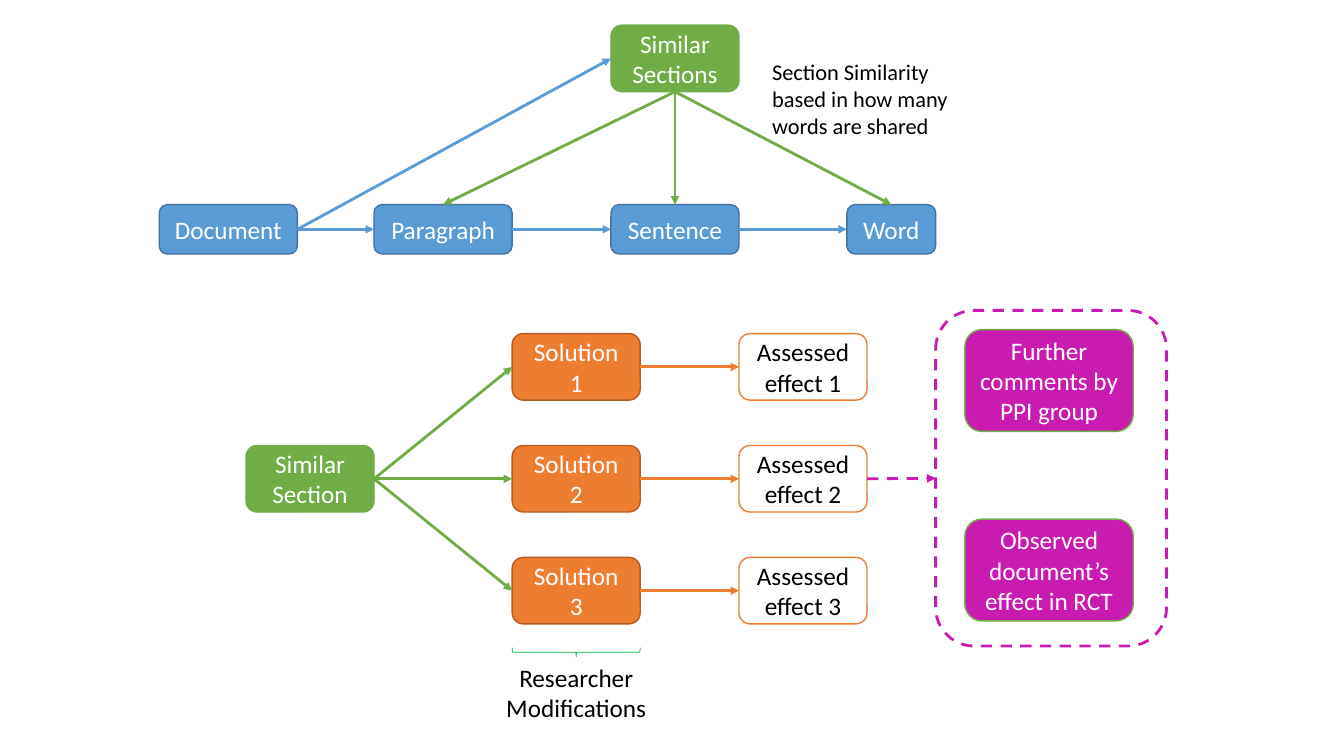
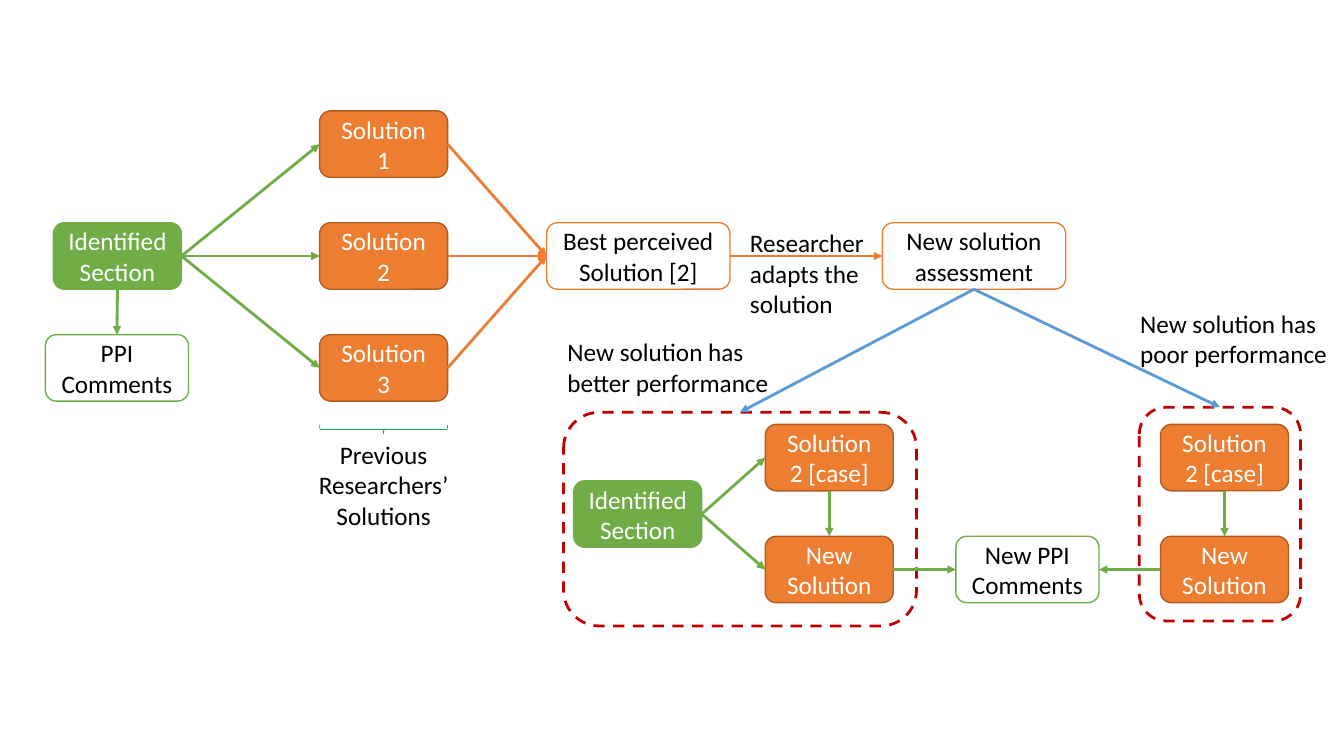
from lxml.etree import SubElement
from pptx import Presentation
from pptx.dml.color import RGBColor
from pptx.enum.dml import MSO_LINE_DASH_STYLE as Dash
from pptx.enum.shapes import MSO_CONNECTOR, MSO_SHAPE
from pptx.enum.text import MSO_ANCHOR, PP_ALIGN
from pptx.oxml.ns import qn
from pptx.util import Inches, Pt

WHITE = RGBColor(0xFF, 0xFF, 0xFF)
BLACK = RGBColor(0x00, 0x00, 0x00)
BLUE = RGBColor(0x5B, 0x9B, 0xD5)
DARK_BLUE = RGBColor(0x43, 0x73, 0x9E)
GREEN = RGBColor(0x70, 0xAD, 0x47)
BRACE_GREEN = RGBColor(0x00, 0xB0, 0x50)
ORANGE = RGBColor(0xED, 0x7D, 0x31)
DARK_ORANGE = RGBColor(0xAF, 0x5C, 0x24)
MAGENTA = RGBColor(0xC9, 0x1B, 0xB0)
RED = RGBColor(0xC0, 0x00, 0x00)

LEVEL = (BLUE, DARK_BLUE, WHITE)
SECTION = (GREEN, GREEN, WHITE)
SOLUTION = (ORANGE, DARK_ORANGE, WHITE)
EFFECT = (WHITE, ORANGE, BLACK)
COMMENT = (WHITE, GREEN, BLACK)
OUTCOME = (MAGENTA, GREEN, WHITE)

FONT = "Calibri"
BOX_W, BOX_H = 1.27, 0.66
ROW_PITCH = 1.11
TOP, LEFT, BOTTOM, RIGHT = range(4)


def style_paragraph(paragraph, size, color, align):
    paragraph.alignment = align
    paragraph.font.name = FONT
    paragraph.font.size = Pt(size)
    paragraph.font.color.rgb = color


def add_outline(slide, preset, left, top, width, height, color, weight):
    shape = slide.shapes.add_shape(
        preset, Inches(left), Inches(top), Inches(width), Inches(height))
    shape.shadow.inherit = False
    shape.fill.background()
    shape.line.color.rgb = color
    shape.line.width = Pt(weight)
    return shape


def add_box(slide, text, left, top, style, width=BOX_W, height=BOX_H):
    fill, border, ink = style
    box = add_outline(slide, MSO_SHAPE.ROUNDED_RECTANGLE,
                      left, top, width, height, border, 1)
    box.fill.solid()
    box.fill.fore_color.rgb = fill
    frame = box.text_frame
    frame.word_wrap = True
    frame.vertical_anchor = MSO_ANCHOR.MIDDLE
    frame.text = text
    style_paragraph(frame.paragraphs[0], 18, ink, PP_ALIGN.CENTER)
    return box


def add_group_frame(slide, left, top, width, height, color):
    group_frame = add_outline(slide, MSO_SHAPE.ROUNDED_RECTANGLE,
                              left, top, width, height, color, 2)
    group_frame.line.dash_style = Dash.DASH
    return group_frame


def add_arrow(slide, source, source_side, target, target_side, color, dashed=False):
    arrow = slide.shapes.add_connector(MSO_CONNECTOR.STRAIGHT, 0, 0, 0, 0)
    arrow.begin_connect(source, source_side)
    arrow.end_connect(target, target_side)
    arrow.line.color.rgb = color
    arrow.line.width = Pt(2)
    if dashed:
        arrow.line.dash_style = Dash.DASH
    SubElement(arrow.line._get_or_add_ln(), qn("a:tailEnd"), type="triangle")
    SubElement(arrow._element.spPr, qn("a:effectLst"))


def add_caption(slide, lines, left, top, width, height, size=18, align=PP_ALIGN.LEFT):
    caption = slide.shapes.add_textbox(
        Inches(left), Inches(top), Inches(width), Inches(height))
    frame = caption.text_frame
    frame.word_wrap = False
    frame.text = "\n".join(lines)
    for paragraph in frame.paragraphs:
        style_paragraph(paragraph, size, BLACK, align)


def add_brace_below(slide, left, bottom):
    depth = 0.09
    center_x, center_y = left + BOX_W / 2, bottom + 0.28
    brace = add_outline(slide, MSO_SHAPE.LEFT_BRACE, center_x - depth / 2,
                        center_y - BOX_W / 2, depth, BOX_W, BRACE_GREEN, 0.5)
    brace.rotation = 270


def row_tops(middle_top):
    return [middle_top + step * ROW_PITCH for step in (-1, 0, 1)]


def add_solution_fan(slide, section_name, left, middle_top, caption, caption_height):
    solutions_left = left + 2.64
    section = add_box(slide, section_name, left, middle_top, SECTION)
    tops = row_tops(middle_top)
    solutions = [add_box(slide, f"Solution {number}", solutions_left, top, SOLUTION)
                 for number, top in enumerate(tops, 1)]
    for solution in solutions:
        add_arrow(slide, section, RIGHT, solution, LEFT, GREEN)
    bottom = tops[-1] + BOX_H
    add_brace_below(slide, solutions_left, bottom)
    add_caption(slide, caption, solutions_left - 0.17, bottom + 0.33,
                1.61, caption_height, align=PP_ALIGN.CENTER)
    return section, solutions


def add_case_pair(slide, left):
    case = add_box(slide, "Solution 2 [case]", left, 4.21, SOLUTION)
    new = add_box(slide, "New Solution", left, 4.21 + ROW_PITCH, SOLUTION)
    add_arrow(slide, case, BOTTOM, new, TOP, GREEN)
    return case, new


def build_similarity_slide(slide):
    levels = [add_box(slide, name, left, 2.03, LEVEL, width, 0.49)
              for name, left, width in (("Document", 1.58, 1.37),
                                        ("Paragraph", 3.71, 1.37),
                                        ("Sentence", 6.06, 1.27),
                                        ("Word", 8.4, 0.88))]
    similar = add_box(slide, "Similar Sections", 6.06, 0.25, SECTION)
    for whole, part in zip(levels, levels[1:]):
        add_arrow(slide, whole, RIGHT, part, LEFT, BLUE)
        add_arrow(slide, similar, BOTTOM, part, TOP, GREEN)
    add_arrow(slide, levels[0], RIGHT, similar, LEFT, BLUE)
    add_caption(slide, ("Section Similarity", "based in how many", "words are shared"),
                7.56, 0.53, 2.01, 0.91, size=16)

    middle_top = 4.42
    _, solutions = add_solution_fan(slide, "Similar Section", 2.44, middle_top,
                                    ("Researcher", "Modifications"), 0.71)
    effects = [add_box(slide, f"Assessed effect {number}", 7.33, top, EFFECT)
               for number, top in enumerate(row_tops(middle_top), 1)]
    for solution, effect in zip(solutions, effects):
        add_arrow(slide, solution, RIGHT, effect, LEFT, ORANGE)
    for outcome, top in (("Further comments by PPI group", 3.27),
                         ("Observed document’s effect in RCT", 5.15)):
        add_box(slide, outcome, 9.57, top, OUTCOME, 1.67, 1.01)
    outcomes = add_group_frame(slide, 9.28, 3.08, 2.29, 3.33, MAGENTA)
    add_arrow(slide, effects[1], RIGHT, outcomes, LEFT, MAGENTA, dashed=True)


def build_adaptation_slide(slide):
    middle_top = 2.21
    section, solutions = add_solution_fan(
        slide, "Identified Section", 0.53, middle_top,
        ("Previous", "Researchers’", "Solutions"), 1.01)
    comments = add_box(slide, "PPI Comments", 0.45, middle_top + ROW_PITCH, COMMENT, 1.42)
    add_arrow(slide, section, BOTTOM, comments, TOP, GREEN)

    best = add_box(slide, "Best perceived Solution [2]", 5.42, middle_top, EFFECT, 1.82)
    assessment = add_box(slide, "New solution assessment", 8.75, middle_top, EFFECT, 1.82)
    for solution in solutions:
        add_arrow(slide, solution, RIGHT, best, LEFT, ORANGE)
    add_arrow(slide, best, RIGHT, assessment, LEFT, ORANGE)

    identified = add_box(slide, "Identified Section", 5.69, 4.77, SECTION)
    better_case, better_new = add_case_pair(slide, 7.59)
    _, poor_new = add_case_pair(slide, 11.51)
    for solution in (better_case, better_new):
        add_arrow(slide, identified, RIGHT, solution, LEFT, GREEN)
    better = add_group_frame(slide, 5.59, 4.09, 3.5, 2.12, RED)
    poor = add_group_frame(slide, 11.3, 4.04, 1.6, 2.12, RED)
    for result in (better, poor):
        add_arrow(slide, assessment, BOTTOM, result, TOP, BLUE)

    new_comments = add_box(slide, "New PPI Comments", 9.48, 4.21 + ROW_PITCH, COMMENT, 1.42)
    add_arrow(slide, better_new, RIGHT, new_comments, LEFT, GREEN)
    add_arrow(slide, poor_new, LEFT, new_comments, RIGHT, GREEN)

    add_caption(slide, ("New solution has", "better performance"), 5.53, 3.29, 2.22, 0.71)
    add_caption(slide, ("New solution has", "poor performance"), 11.21, 3.01, 2.07, 0.71)
    add_caption(slide, ("Researcher", "adapts the", "solution"), 7.34, 2.21, 1.34, 1.01)


def main():
    deck = Presentation()
    deck.slide_width = Inches(13.33)
    deck.slide_height = Inches(7.5)
    for build in (build_similarity_slide, build_adaptation_slide):
        build(deck.slides.add_slide(deck.slide_layouts[6]))
    deck.save("out.pptx")


if __name__ == "__main__":
    main()
